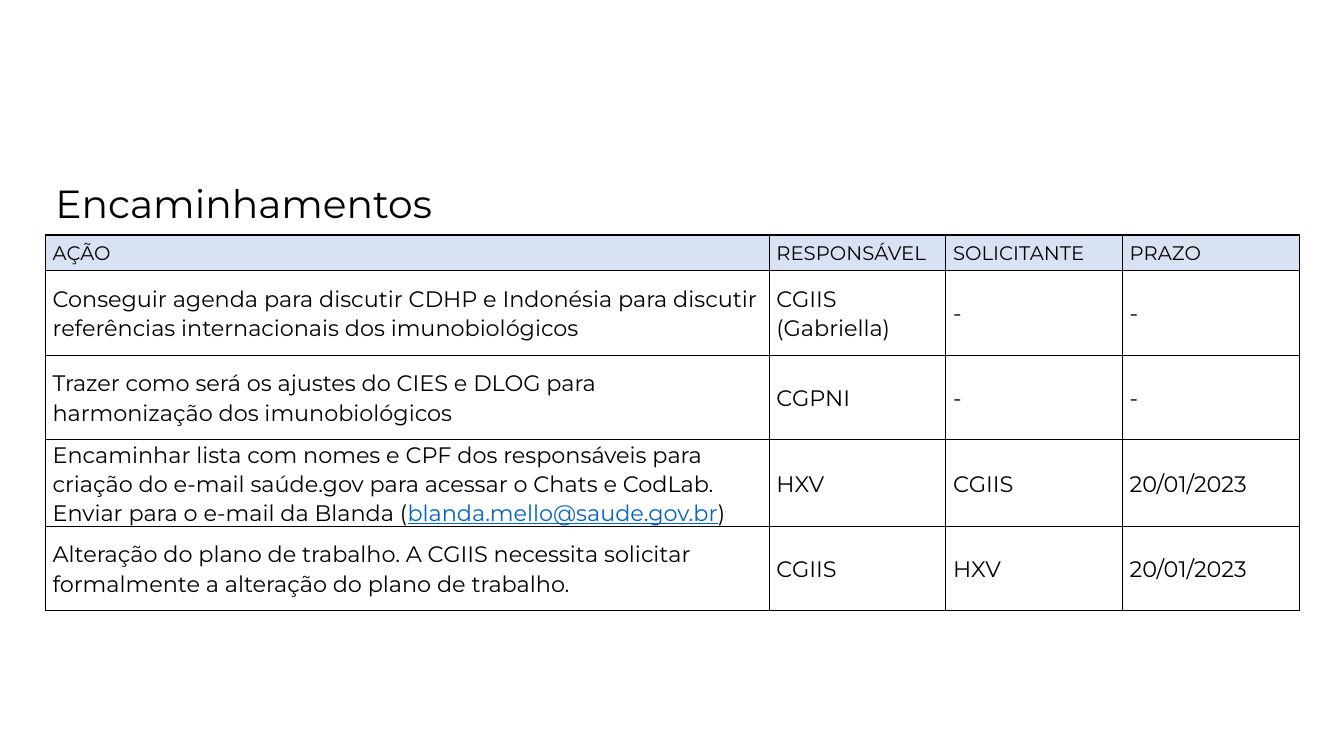
from dataclasses import dataclass
from lxml.etree import SubElement
from pptx import Presentation
from pptx.dml.color import RGBColor
from pptx.enum.text import MSO_ANCHOR, MSO_AUTO_SIZE, PP_ALIGN
from pptx.oxml.ns import qn
from pptx.util import Pt

# Content: a cell is a string, or a tuple of pieces with the e-mail in the middle
TITLE = "Encaminhamentos"
HEADERS = ["AÇÃO", "RESPONSÁVEL", "SOLICITANTE", "PRAZO"]
ACTIONS = [
    ["Conseguir agenda para discutir CDHP e Indonésia para discutir "
     "referências internacionais dos imunobiológicos", "CGIIS (Gabriella)", "-", "-"],
    ["Trazer como será os ajustes do CIES e DLOG para harmonização dos imunobiológicos",
     "CGPNI", "-", "-"],
    [("Encaminhar lista com nomes e CPF dos responsáveis para criação do e-mail "
      "saúde.gov para acessar o Chats e CodLab. Enviar para o e-mail da Blanda (",
      "blanda.mello@saude.gov.br", ")"), "HXV", "CGIIS", "20/01/2023"],
    ["Alteração do plano de trabalho. A CGIIS necessita solicitar formalmente "
     "a alteração do plano de trabalho.", "CGIIS", "HXV", "20/01/2023"],
]


@dataclass(frozen=True)
class Theme:
    font: str = "Montserrat"
    text: RGBColor = RGBColor(0, 0, 0)
    email: RGBColor = RGBColor(0x05, 0x63, 0xC1)
    header_fill: RGBColor = RGBColor(0xD9, 0xE2, 0xF3)
    border: str = "000000"
    title_size: int = 28
    header_size: int = 14
    body_size: int = 16


THEME = Theme()

# Layout, in points
LEFT, TITLE_TOP, TITLE_HEIGHT, TABLE_TOP = 32.4, 124.6, 41, 167.8
COLUMN_WIDTHS = [517] + [126.2] * 3
ROW_HEIGHTS = [25.4] + [60.5] * len(ACTIONS)
TABLE_WIDTH = sum(COLUMN_WIDTHS)
CELL_MARGIN = 5.2


def style_font(paragraph, size):
    font = paragraph.font
    font.name, font.size = THEME.font, Pt(size)
    font.color.rgb = THEME.text


def add_borders(cell):
    properties = cell._tc.get_or_add_tcPr()
    for position, side in enumerate(("a:lnL", "a:lnR", "a:lnT", "a:lnB")):
        line = SubElement(properties, qn(side), w=str(Pt(1)))
        fill = SubElement(line, qn("a:solidFill"))
        SubElement(fill, qn("a:srgbClr"), val=THEME.border)
        properties.insert(position, line)  # borders come before the fill


def fill_cell(cell, content, is_header):
    cell.margin_left = cell.margin_right = Pt(CELL_MARGIN)
    cell.margin_top = cell.margin_bottom = 0
    cell.vertical_anchor = MSO_ANCHOR.MIDDLE
    if is_header:
        cell.fill.solid()
        cell.fill.fore_color.rgb = THEME.header_fill
    else:
        cell.fill.background()
    add_borders(cell)

    paragraph = cell.text_frame.paragraphs[0]
    paragraph.line_spacing, paragraph.space_after = 1.07, Pt(8)
    style_font(paragraph, THEME.header_size if is_header else THEME.body_size)
    pieces = (content,) if isinstance(content, str) else content
    for index, piece in enumerate(pieces):
        run = paragraph.add_run()
        run.text = piece
        if index == 1:
            run.font.color.rgb = THEME.email
            run.font.underline = True


def add_title(slide):
    title = slide.shapes.title
    title.left, title.top = Pt(LEFT), Pt(TITLE_TOP)
    title.width, title.height = Pt(TABLE_WIDTH), Pt(TITLE_HEIGHT)
    frame = title.text_frame
    frame.text = TITLE
    frame.word_wrap = True
    frame.auto_size = MSO_AUTO_SIZE.SHAPE_TO_FIT_TEXT
    frame.vertical_anchor = MSO_ANCHOR.TOP
    paragraph = frame.paragraphs[0]
    paragraph.alignment = PP_ALIGN.LEFT
    style_font(paragraph, THEME.title_size)


def add_actions_table(slide):
    rows = [HEADERS] + ACTIONS
    table = slide.shapes.add_table(
        len(rows), len(HEADERS), Pt(LEFT), Pt(TABLE_TOP),
        Pt(TABLE_WIDTH), Pt(sum(ROW_HEIGHTS))).table
    table.first_row = table.horz_banding = False
    for column, width in zip(table.columns, COLUMN_WIDTHS):
        column.width = Pt(width)
    for row, height in zip(table.rows, ROW_HEIGHTS):
        row.height = Pt(height)
    for row_index, row in enumerate(rows):
        for column_index, content in enumerate(row):
            fill_cell(table.cell(row_index, column_index), content, row_index == 0)


def main():
    presentation = Presentation()
    presentation.slide_width, presentation.slide_height = Pt(960), Pt(540)
    slide = presentation.slides.add_slide(presentation.slide_layouts[5])
    add_title(slide)
    add_actions_table(slide)
    presentation.save("out.pptx")


if __name__ == "__main__":
    main()
